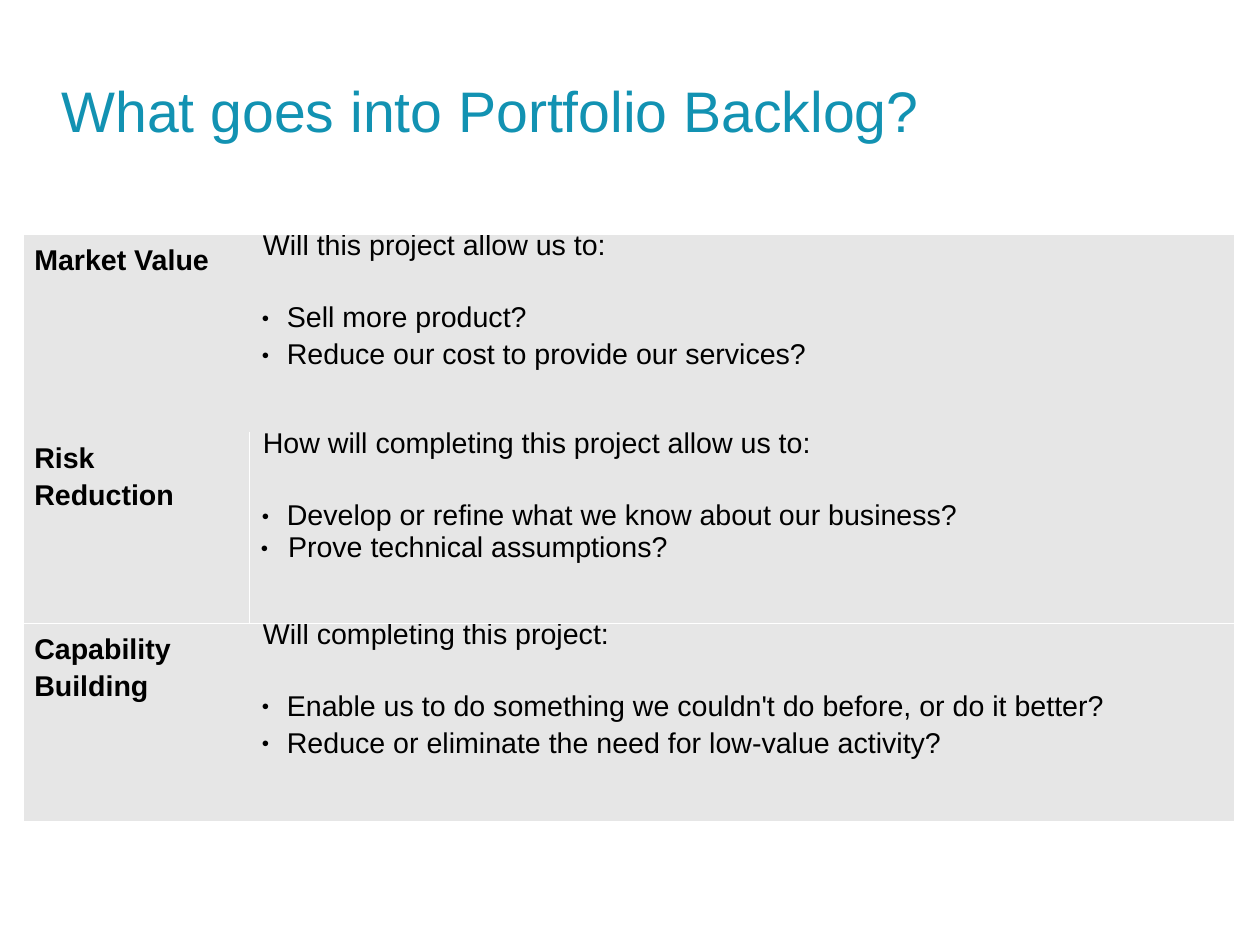
from pptx import Presentation
from pptx.dml.color import RGBColor as RGB
from pptx.enum.text import MSO_ANCHOR as Anchor
from pptx.oxml.ns import qn
from pptx.util import Inches, Pt
from lxml.etree import SubElement as Sub

COLORS = {"title": "1292B2", "text": "000000", "cell": "E6E6E6", "line": "FFFFFF"}
FONT = "Arial"
NO_STYLE = "{2D5ABB26-0587-4C30-8999-92F81FD0307C}"
CM_PER_INCH = 2.54

# Criteria: name, question, bullets as (text, format)
CRITERIA = [
    ("Market Value", "Will this project allow us to:",
     [("Sell more product?", {}),
      ("Reduce our cost to provide our services?", {})]),
    ("Risk Reduction", "How will completing this project allow us to:",
     [("Develop or refine what we know about our business?", {}),
      ("Prove technical assumptions?",
       {"spacing": 1.0, "left": 0.24, "indent": -0.24})]),
    ("Capability Building", "Will completing this project:",
     [("Enable us to do something we couldn't do before, or do it better?", {}),
      ("Reduce or eliminate the need for low-value activity?", {})]),
]
# Visible edges of each row: name cell, detail cell
EDGES = [("LT", "TR"), ("LR", "LR"), ("LTB", "TRB")]


def write(tf, text, size=18, color="text", bold=False, spacing=1.15,
          before=0, left=0, indent=0, bullet=False):
    """Fill the first empty paragraph of a text frame, or add one."""
    p = tf.paragraphs[-1]
    if p.runs:
        p = tf.add_paragraph()
    p.line_spacing = spacing
    p.space_before = Pt(before)
    pPr = p._p.get_or_add_pPr()
    pPr.set("marL", str(Inches(left)))
    pPr.set("indent", str(Inches(indent)))
    if bullet:
        Sub(Sub(pPr, qn("a:buClr")), qn("a:srgbClr"), val=COLORS["text"])
        Sub(pPr, qn("a:buSzPct"), val="45000")
        Sub(pPr, qn("a:buFont"), typeface=FONT)
        Sub(pPr, qn("a:buChar"), char="●")
    r = p.add_run()
    r.text = text
    r.font.name, r.font.size, r.font.bold = FONT, Pt(size), bold
    r.font.color.rgb = RGB.from_string(COLORS[color])


class Deck:
    def __init__(self, width, height):
        self.prs = Presentation()
        self.prs.slide_width, self.prs.slide_height = Inches(width), Inches(height)
        self.s = self.prs.slides.add_slide(self.prs.slide_layouts[6])

    def title(self, text, *box):
        tf = self.s.shapes.add_textbox(*map(Inches, box)).text_frame
        tf.word_wrap = True
        tf.vertical_anchor = Anchor.MIDDLE
        write(tf, text, size=36, color="title", spacing=0.9)

    def table(self, left, top, widths, heights):
        box = (left, top, sum(widths), sum(heights))
        sp = self.s.shapes.add_table(len(heights), len(widths), *map(Inches, box))
        table = sp.table
        table.first_row = table.horz_banding = False
        table._tbl.tblPr.find(qn("a:tableStyleId")).text = NO_STYLE
        for col, width in zip(table.columns, widths):
            col.width = Inches(width)
        for row, height in zip(table.rows, heights):
            row.height = Inches(height)
        return table

    def cell(self, cell, edges):
        cell.margin_left = cell.margin_right = Inches(0.1)
        cell.margin_top = cell.margin_bottom = Inches(0.05)
        tcPr = cell._tc.get_or_add_tcPr()
        for side in "LRTB":
            if side in edges:
                ln = Sub(tcPr, qn("a:ln" + side), w=str(Pt(0.06)))
                Sub(Sub(ln, qn("a:solidFill")), qn("a:srgbClr"), val=COLORS["line"])
        cell.fill.solid()
        cell.fill.fore_color.rgb = RGB.from_string(COLORS["cell"])
        return cell.text_frame


def main():
    # Page of 28 by 21 cm
    deck = Deck(28 / CM_PER_INCH, 21 / CM_PER_INCH)

    # Title
    deck.title("What goes into Portfolio Backlog?", 0.44, 0.34, 8.6, 1.31)

    # Criteria table
    table = deck.table(0.2, 2.05, [1.98, 8.62], [1.73, 1.67, 1.73])
    for i, (name, question, bullets) in enumerate(CRITERIA):
        name_tf, detail_tf = (deck.cell(table.cell(i, j), EDGES[i][j]) for j in (0, 1))
        write(name_tf, name, bold=True)
        write(detail_tf, question, spacing=0.62, left=0.24, indent=-0.22)
        for k, (text, extra) in enumerate(bullets):
            style = {"left": 0.23, "indent": -0.22, "before": 0 if k else 23.5, **extra}
            write(detail_tf, text, bullet=True, **style)

    deck.prs.save("out.pptx")


if __name__ == "__main__":
    main()
